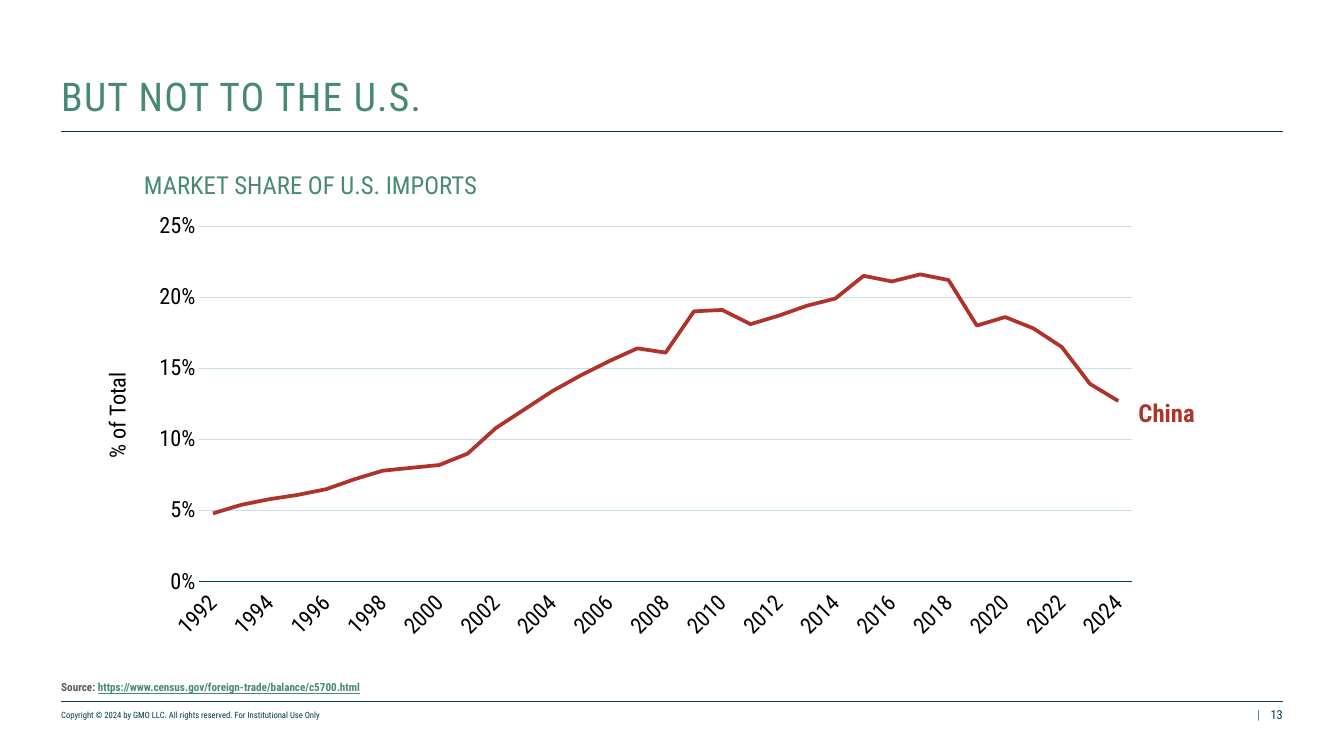
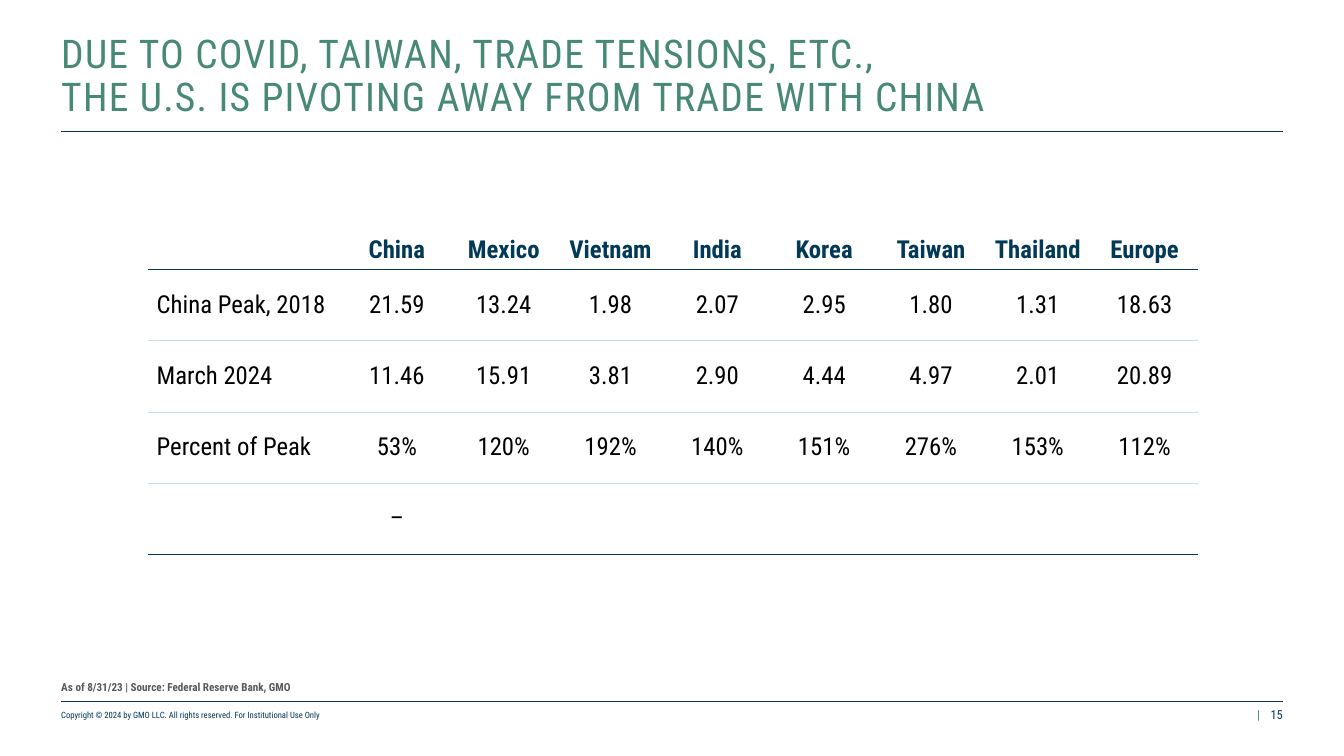
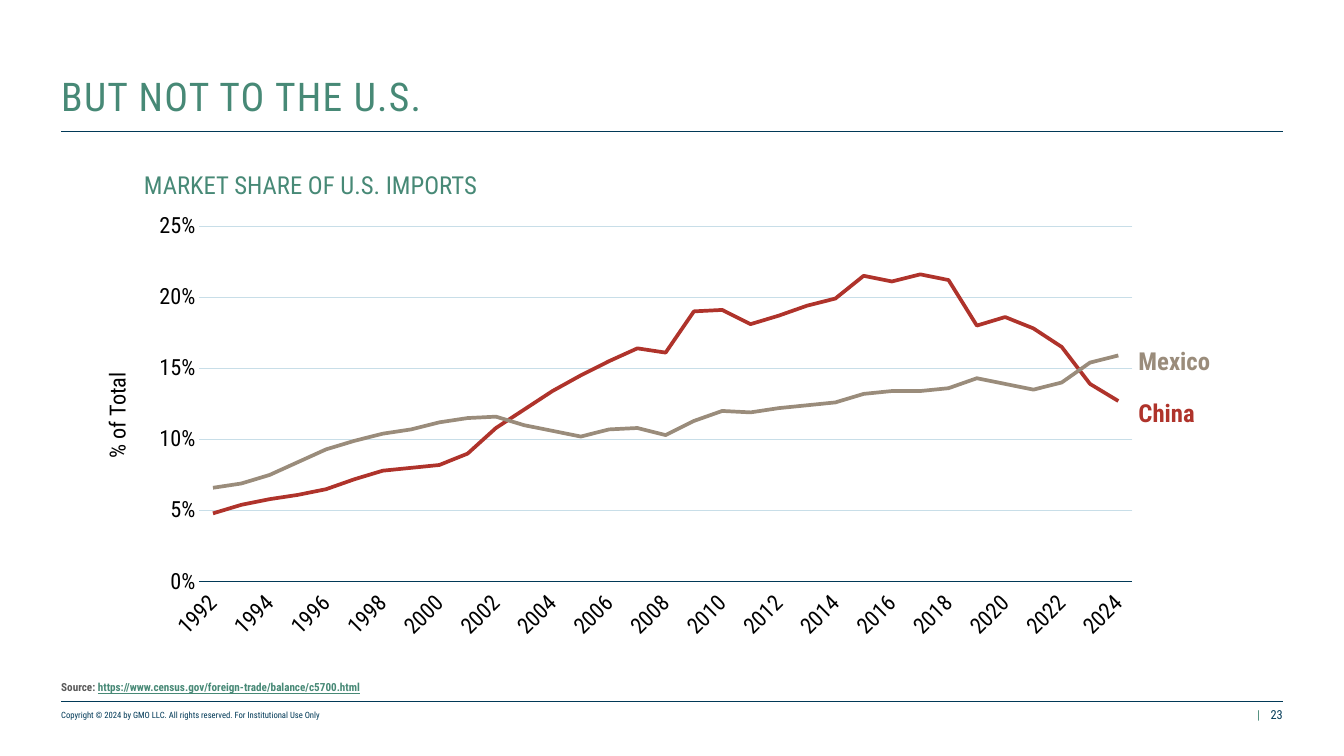
"""Build three slides on the market share of U.S. imports."""

from dataclasses import dataclass

from lxml.etree import SubElement
from pptx import Presentation
from pptx.chart.chart import Chart
from pptx.chart.data import CategoryChartData
from pptx.dml.color import RGBColor
from pptx.enum.chart import XL_CHART_TYPE, XL_TICK_LABEL_POSITION, XL_TICK_MARK
from pptx.enum.shapes import MSO_CONNECTOR
from pptx.enum.text import MSO_ANCHOR, PP_ALIGN
from pptx.oxml import parse_xml
from pptx.oxml.ns import nsdecls, qn
from pptx.slide import Slide
from pptx.table import _Cell
from pptx.text.text import Font
from pptx.util import Cm, Pt

FONT = "Roboto Condensed"
NAVY = RGBColor(0x01, 0x39, 0x57)
GREEN = RGBColor(0x47, 0x89, 0x76)
GRAY = RGBColor(0x59, 0x59, 0x59)
BLACK = RGBColor(0x00, 0x00, 0x00)
PALE_BLUE = RGBColor(0xC8, 0xDE, 0xE8)
RED = RGBColor(0xAF, 0x33, 0x2B)
TAUPE = RGBColor(0x9A, 0x8C, 0x7B)

LEFT, WIDTH = 1.75, 34.88
NO_MARGINS = (0, 0, 0, 0)
BOX_MARGINS = (0.25, 0.13, 0.25, 0.13)
NO_TABLE_STYLE = "{2D5ABB26-0587-4C30-8999-92F81FD0307C}"
COPYRIGHT = "Copyright © 2024 by GMO LLC. All rights reserved. For Institutional Use Only"
CENSUS_LINK = "https://www.census.gov/foreign-trade/balance/c5700.html"
YEARS = [str(year) for year in range(1992, 2025)]


@dataclass(frozen=True)
class Place:
    """Position and size in centimetres."""

    left: float
    top: float
    width: float
    height: float

    def lengths(self) -> tuple[Cm, Cm, Cm, Cm]:
        """Return the four values as lengths."""
        return Cm(self.left), Cm(self.top), Cm(self.width), Cm(self.height)


@dataclass(frozen=True)
class Style:
    """Look of one paragraph."""

    size: float
    color: RGBColor
    bold: bool = False
    align: PP_ALIGN = PP_ALIGN.LEFT
    line_spacing: float | None = None
    tracking: int = 0


@dataclass(frozen=True)
class Span:
    """Piece of text that may be shown as a link."""

    text: str
    link: bool = False


@dataclass(frozen=True)
class Country:
    """Share of imports by year, with the label beside its line."""

    name: str
    color: RGBColor
    label: Place
    shares: tuple[float, ...]


TITLE = Style(32, GREEN, line_spacing=0.9, tracking=100)
HEADING = Style(20, GREEN)
AXIS_TITLE = Style(18, BLACK, align=PP_ALIGN.CENTER)
SOURCE = Style(9, GRAY, bold=True)
COPYRIGHT_STYLE = Style(7, NAVY)
DIVIDER = Style(10, GREEN, align=PP_ALIGN.CENTER)
PAGE_NUMBER = Style(10, NAVY, align=PP_ALIGN.RIGHT)
TABLE_HEADER = Style(20, NAVY, bold=True, align=PP_ALIGN.CENTER)
TABLE_LABEL = Style(20, BLACK)
TABLE_VALUE = Style(20, BLACK, align=PP_ALIGN.CENTER)

CHINA = Country(
    "China", RED, Place(32.26, 11.23, 2.13, 1.12),
    (0.048, 0.054, 0.058, 0.061, 0.065, 0.072, 0.078, 0.08, 0.082, 0.09, 0.108,
     0.121, 0.134, 0.145, 0.155, 0.164, 0.161, 0.19, 0.191, 0.181, 0.187, 0.194,
     0.199, 0.215, 0.211, 0.216, 0.212, 0.18, 0.186, 0.178, 0.165, 0.139, 0.127),
)
MEXICO = Country(
    "Mexico", TAUPE, Place(32.26, 9.75, 2.59, 1.12),
    (0.066, 0.069, 0.075, 0.084, 0.093, 0.099, 0.104, 0.107, 0.112, 0.115, 0.116,
     0.11, 0.106, 0.102, 0.107, 0.108, 0.103, 0.113, 0.12, 0.119, 0.122, 0.124,
     0.126, 0.132, 0.134, 0.134, 0.136, 0.143, 0.139, 0.135, 0.14, 0.154, 0.159),
)
TRADE_ROWS = (
    ("", "China", "Mexico", "Vietnam", "India", "Korea", "Taiwan", "Thailand", "Europe"),
    ("China Peak, 2018", "21.59", "13.24", "1.98", "2.07", "2.95", "1.80", "1.31", "18.63"),
    ("March 2024", "11.46", "15.91", "3.81", "2.90", "4.44", "4.97", "2.01", "20.89"),
    ("Percent of Peak", "53%", "120%", "192%", "140%", "151%", "276%", "153%", "112%"),
    ("", "–", "", "", "", "", "", "", ""),
)


def set_font(font: Font, size: float, color: RGBColor, bold: bool = False) -> None:
    """Apply the shared typeface with a size, colour and weight."""
    font.name = FONT
    font.size = Pt(size)
    font.color.rgb = color
    font.bold = bold


def fill_paragraph(paragraph, spans: list[Span], style: Style) -> None:
    """Write spans into a paragraph and style it."""
    paragraph.alignment = style.align
    if style.line_spacing:
        paragraph.line_spacing = style.line_spacing
    set_font(paragraph.font, style.size, style.color, style.bold)
    for span in spans:
        for index, line in enumerate(span.text.split("\n")):
            if index:
                paragraph.add_line_break()
            run = paragraph.add_run()
            run.text = line
            if span.link:
                run.font.color.rgb = GREEN
                run.font.underline = True
            if style.tracking:
                run.font._element.set("spc", str(style.tracking))


def add_text(page: Slide, place: Place, spans: list[Span], style: Style,
             margins: tuple[float, ...] = NO_MARGINS,
             anchor: MSO_ANCHOR = MSO_ANCHOR.BOTTOM, wrap: bool = True,
             rotation: float = 0) -> None:
    """Add a text box with one paragraph."""
    box = page.shapes.add_textbox(*place.lengths())
    box.rotation = rotation
    frame = box.text_frame
    frame.word_wrap = wrap
    frame.vertical_anchor = anchor
    (frame.margin_left, frame.margin_top,
     frame.margin_right, frame.margin_bottom) = map(Cm, margins)
    fill_paragraph(frame.paragraphs[0], spans, style)


def add_rule(page: Slide, top: float, weight: float) -> None:
    """Draw a horizontal line across the content width."""
    rule = page.shapes.add_connector(
        MSO_CONNECTOR.STRAIGHT, Cm(LEFT), Cm(top), Cm(LEFT + WIDTH), Cm(top))
    rule.line.color.rgb = NAVY
    rule.line.width = Pt(weight)
    SubElement(rule._element.spPr, qn("a:effectLst"))


def add_page(deck, number: int, title: str, source: list[Span]) -> Slide:
    """Add a slide with its title, source, rules and footer."""
    page = deck.slides.add_slide(deck.slide_layouts[6])
    add_text(page, Place(LEFT, 20.19, 18.03, 0.38), [Span(COPYRIGHT)], COPYRIGHT_STYLE)
    add_text(page, Place(35.8, 20.19, 0.28, 0.43), [Span("|")], DIVIDER)
    add_text(page, Place(27.99, 20.19, 8.64, 0.43), [Span(str(number))], PAGE_NUMBER)
    add_rule(page, 20.02, 0.5)
    add_rule(page, 3.76, 1)
    add_text(page, Place(LEFT, 18.47, WIDTH, 1.35), source, SOURCE)
    add_text(page, Place(LEFT, 1.27, WIDTH, 2.16), [Span(title)], TITLE)
    return page


def format_axes(chart: Chart) -> None:
    """Set scale, labels, lines and plot position of a share chart."""
    values = chart.value_axis
    values.minimum_scale, values.maximum_scale, values.major_unit = 0, 0.25, 0.05
    values.tick_labels.number_format = "0%"
    values.tick_labels.number_format_is_linked = False
    values.format.line.fill.background()
    values.major_gridlines.format.line.color.rgb = PALE_BLUE
    values.major_gridlines.format.line.width = Pt(0.75)
    years = chart.category_axis
    years.tick_label_position = XL_TICK_LABEL_POSITION.LOW
    years.format.line.color.rgb = NAVY
    years.format.line.width = Pt(1)
    for axis in (values, years):
        axis.major_tick_mark = axis.minor_tick_mark = XL_TICK_MARK.NONE
        set_font(axis.tick_labels.font, 18, BLACK)
    years._element.txPr.find(qn("a:bodyPr")).set("rot", "-2700000")
    skip = parse_xml(f'<c:tickLblSkip {nsdecls("c")} val="2"/>')
    years._element.find(qn("c:noMultiLvlLbl")).addprevious(skip)

    plot_area = chart._chartSpace.chart.plotArea
    for layout in plot_area.findall(qn("c:layout")):
        plot_area.remove(layout)
    layout = SubElement(plot_area, qn("c:layout"))
    plot_area.insert(0, layout)
    manual = SubElement(layout, qn("c:manualLayout"))
    for tag, value in (("layoutTarget", "inner"), ("xMode", "edge"), ("yMode", "edge"),
                       ("x", "0.06"), ("y", "0.05"), ("w", "0.92"), ("h", "0.8")):
        SubElement(manual, qn(f"c:{tag}")).set("val", value)


def add_share_chart(page: Slide, countries: list[Country]) -> None:
    """Add the line chart with its heading, axis title and line labels."""
    add_text(page, Place(4.11, 4.7, 18.69, 1.12), [Span("MARKET SHARE OF U.S. IMPORTS")],
             HEADING, margins=(0, 0.13, 0.25, 0.13))
    add_text(page, Place(-1.96, 11.35, 10.59, 1.02), [Span("% of Total")], AXIS_TITLE,
             margins=BOX_MARGINS, anchor=MSO_ANCHOR.TOP, rotation=270)
    data = CategoryChartData(number_format="0.0%")
    data.categories = YEARS
    for country in countries:
        data.add_series(country.name, country.shares)
        add_text(page, country.label, [Span(country.name)],
                 Style(20, country.color, bold=True), margins=BOX_MARGINS,
                 anchor=MSO_ANCHOR.TOP, wrap=False)
    chart = page.shapes.add_chart(
        XL_CHART_TYPE.LINE, *Place(3.94, 5.82, 28.98, 12.7).lengths(), data).chart
    chart.has_legend = False
    chart.has_title = False
    set_font(chart.font, 18, BLACK)
    chart.plots[0].vary_by_categories = False
    for series, country in zip(chart.plots[0].series, countries):
        series.smooth = False
        series.format.line.color.rgb = country.color
        series.format.line.width = Pt(3)
    format_axes(chart)


def set_border(cell: _Cell, side: str, color: RGBColor) -> None:
    """Draw a thin line on the top (T) or bottom (B) of a cell."""
    line = SubElement(cell._tc.get_or_add_tcPr(), qn(f"a:ln{side}"), w=str(Pt(0.5)))
    fill = SubElement(line, qn("a:solidFill"))
    SubElement(fill, qn("a:srgbClr"), val=str(color))


def add_trade_table(page: Slide) -> None:
    """Add the table of import shares by country."""
    place = Place(4.22, 6.6, 29.99, 9.16)
    last = len(TRADE_ROWS) - 1
    table = page.shapes.add_table(
        len(TRADE_ROWS), len(TRADE_ROWS[0]), *place.lengths()).table
    table.first_row = table.horz_banding = False
    table._tbl.tblPr.find(qn("a:tableStyleId")).text = NO_TABLE_STYLE
    for index, column in enumerate(table.columns):
        column.width = Cm(3.05 if index else 5.59)
    for index, row in enumerate(table.rows):
        row.height = Cm(2.03 if index else 1.04)
        for position, text in enumerate(TRADE_ROWS[index]):
            cell = row.cells[position]
            cell.vertical_anchor = MSO_ANCHOR.MIDDLE if index else MSO_ANCHOR.TOP
            if index:
                set_border(cell, "T", NAVY if index == 1 else PALE_BLUE)
            set_border(cell, "B", NAVY if index in (0, last) else PALE_BLUE)
            cell.fill.background()
            body_style = TABLE_VALUE if position else TABLE_LABEL
            fill_paragraph(cell.text_frame.paragraphs[0], [Span(text)] if text else [],
                           body_style if index else TABLE_HEADER)


def main() -> None:
    """Build and save the deck."""
    deck = Presentation()
    deck.slide_width, deck.slide_height = Cm(38.38), Cm(21.59)
    census = [Span("Source: "), Span(CENSUS_LINK, link=True)]
    share_title = "BUT NOT TO THE U.S."

    add_share_chart(add_page(deck, 13, share_title, census), [CHINA])
    add_trade_table(add_page(
        deck, 15,
        "DUE TO COVID, TAIWAN, TRADE TENSIONS, ETC.,\n"
        "THE U.S. IS PIVOTING AWAY FROM TRADE WITH CHINA",
        [Span("As of 8/31/23 | Source: Federal Reserve Bank, GMO")]))
    add_share_chart(add_page(deck, 23, share_title, census), [CHINA, MEXICO])
    deck.save("out.pptx")


if __name__ == "__main__":
    main()
